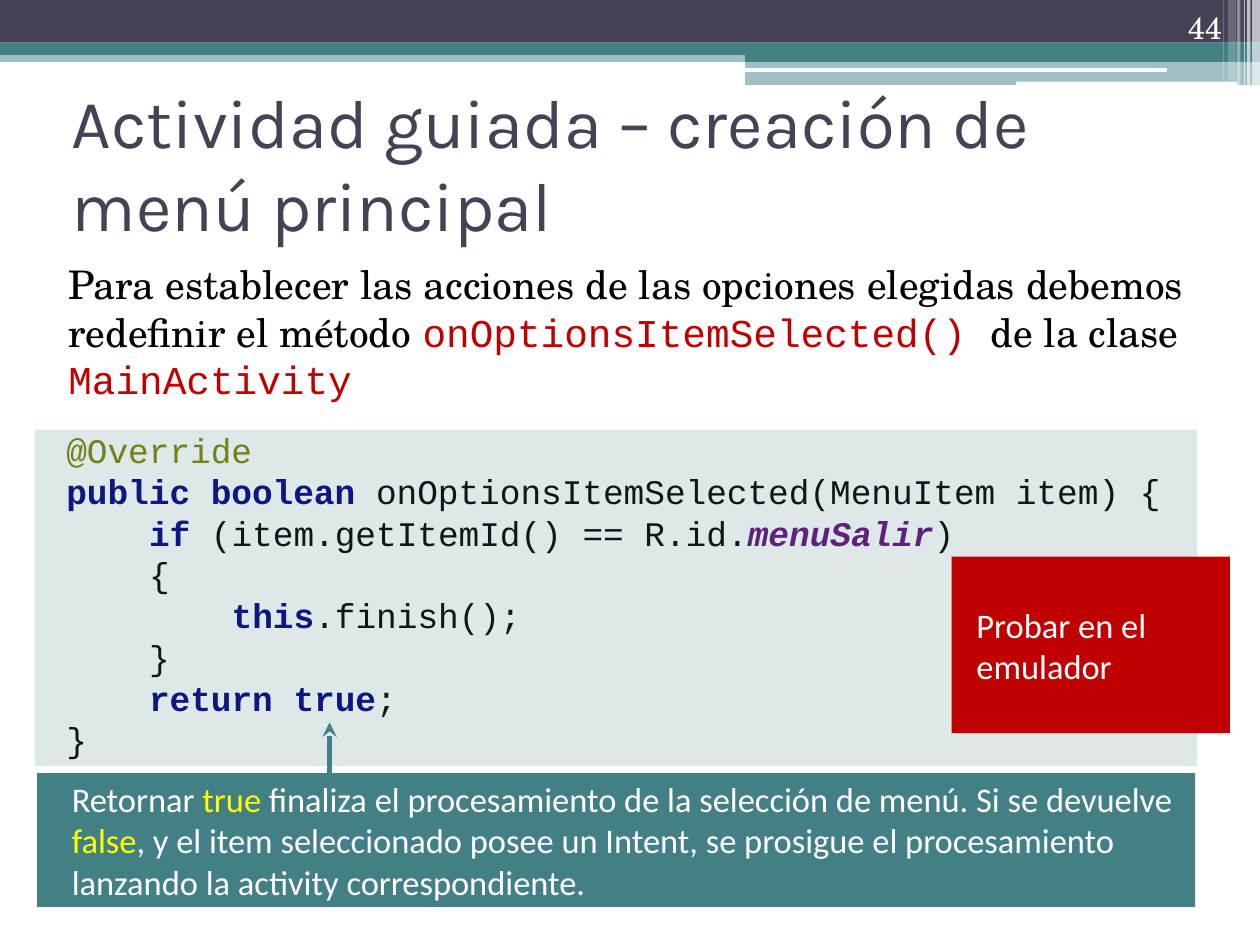
from dataclasses import dataclass

from lxml.etree import SubElement
from pptx import Presentation
from pptx.dml.color import RGBColor
from pptx.enum.shapes import MSO_CONNECTOR, MSO_SHAPE
from pptx.enum.text import MSO_ANCHOR, MSO_AUTO_SIZE, PP_ALIGN
from pptx.oxml.ns import qn
from pptx.util import Inches, Pt


@dataclass(frozen=True)
class Theme:
    """Colours, fonts and type sizes of the slide."""
    navy: str = "424456"
    teal: str = "438086"
    white: str = "FFFFFF"
    black: str = "000000"
    red: str = "C00000"
    yellow: str = "FFFF00"
    annotation: str = "808000"
    keyword: str = "000080"
    constant: str = "660E7A"
    heading: str = "Karla"
    serif: str = "TeX Gyre Schola"
    mono: str = "Courier New"
    sans: str = "Calibri"
    title_size: int = 56
    intro_size: int = 32
    text_size: int = 28
    number_size: int = 25
    code_pitch: float = 33.6


THEME = Theme()
CODE_INDENT = Pt(4 * 0.6 * THEME.text_size)
CODE_LINES = [
    (0, [("@Override", "annotation")]),
    (0, [("public boolean ", "keyword"),
         ("onOptionsItemSelected(MenuItem item) {", "black")]),
    (1, [("if ", "keyword"), ("(item.getItemId() == R.id.", "black"),
         ("menuSalir", "constant"), (")", "black")]),
    (1, [("{", "black")]),
    (2, [("this", "keyword"), (".finish();", "black")]),
    (1, [("}", "black")]),
    (1, [("return true", "keyword"), (";", "black")]),
    (0, [("}", "black")]),
]


@dataclass(frozen=True)
class Box:
    """A rectangle in EMU."""
    left: int
    top: int
    width: int
    height: int

    def inner(self, left, top, width, height):
        """Return the inner box given in percent of this one."""
        return Box(self.x(left), self.y(top),
                   round(self.width * width / 100), round(self.height * height / 100))

    def x(self, share):
        """Return the horizontal place at a percentage of the width."""
        return round(self.left + self.width * share / 100)

    def y(self, share):
        """Return the vertical place at a percentage of the height."""
        return round(self.top + self.height * share / 100)

    def place(self):
        """Return left, top, width and height."""
        return self.left, self.top, self.width, self.height


def add_block(slide, box, colour, opacity=100, kind=MSO_SHAPE.RECTANGLE):
    """Add a plain filled shape without outline."""
    block = slide.shapes.add_shape(kind, *box.place())
    block.shadow.inherit = False
    block.line.fill.background()
    block.fill.solid()
    block.fill.fore_color.rgb = RGBColor.from_string(colour)
    if opacity < 100:
        tint = block._element.spPr.find(qn("a:solidFill"))[0]
        SubElement(tint, qn("a:alpha")).set("val", str(opacity * 1000))
    return block


def set_frame(frame, anchor, left=0.1, right=0.1):
    """Set wrapping, anchor and side insets, and return the first paragraph."""
    frame.word_wrap = True
    frame.auto_size = MSO_AUTO_SIZE.NONE
    frame.vertical_anchor = anchor
    frame.margin_left, frame.margin_right = Inches(left), Inches(right)
    return frame.paragraphs[0]


def format_text(paragraph, font, size, colour, align=PP_ALIGN.LEFT):
    """Set the look shared by the runs of a paragraph."""
    paragraph.alignment = align
    paragraph.font.name = font
    paragraph.font.size = Pt(size)
    paragraph.font.color.rgb = RGBColor.from_string(colour)


def add_run(paragraph, text, colour):
    """Add a coloured run and return its font."""
    run = paragraph.add_run()
    run.text = text
    run.font.color.rgb = RGBColor.from_string(colour)
    return run.font


def add_header(slide, box, number):
    """Draw the bands, the stripes and the slide number."""
    bands = [
        (0, 58.76, 100, 13.4, THEME.teal, 50),
        (0, 0, 100, 49.48, THEME.navy, 100),
        (0, 49.48, 100, 14.43, THEME.teal, 100),
        (59.14, 57.73, 40.86, 14.43, THEME.teal, 100),
        (59.14, 70.1, 40.86, 28.87, THEME.teal, 50),
    ]
    for *area, colour, opacity in bands:
        add_block(slide, box.inner(*area), colour, opacity)
    for area in [(59.14, 79.38, 33.47, 4.12), (80.66, 94.85, 17.51, 6.19)]:
        add_block(slide, box.inner(*area), THEME.white, kind=MSO_SHAPE.ROUNDED_RECTANGLE)
    stripes = [(99.37, 0.63, 100, 65), (98.95, 0.28, 100, 65), (98.73, 0.07, 100, 60),
               (98.17, 0.28, 100, 40), (97.47, 0.63, 93.81, 20), (97.05, 0.07, 93.81, 30)]
    for left, width, height, opacity in stripes:
        add_block(slide, box.inner(left, 0, width, height), THEME.white, opacity)
    page = slide.shapes.add_textbox(*box.inner(89.38, 0, 8.3, 58.76).place())
    label = set_frame(page.text_frame, MSO_ANCHOR.BOTTOM)
    label.text = number
    format_text(label, THEME.serif, THEME.number_size, THEME.white, PP_ALIGN.RIGHT)


def add_title(slide, box):
    """Place and format the title."""
    title = slide.shapes.title
    title.left, title.top, title.width, title.height = box.place()
    heading = set_frame(title.text_frame, MSO_ANCHOR.MIDDLE)
    heading.text = "Actividad guiada – creación de menú principal"
    format_text(heading, THEME.heading, THEME.title_size, THEME.navy)


def add_intro(slide, box):
    """Write the introduction with its method and class names."""
    intro = slide.shapes.add_textbox(*box.place())
    sentence = set_frame(intro.text_frame, MSO_ANCHOR.TOP, left=0.27)
    sentence.space_before = Pt(4.2)
    format_text(sentence, THEME.serif, THEME.intro_size, THEME.black)
    for text, font, colour in [
        ("Para establecer las acciones de las opciones elegidas debemos redefinir el método ",
         THEME.serif, THEME.black),
        ("onOptionsItemSelected() ", THEME.mono, THEME.red),
        ("de la clase ", THEME.serif, THEME.black),
        ("MainActivity", THEME.mono, THEME.red),
    ]:
        add_run(sentence, text, colour).name = font


def add_code(slide, box):
    """Write the listing and lay the tinted panel over it."""
    listing = add_block(slide, box, THEME.white).text_frame
    set_frame(listing, MSO_ANCHOR.MIDDLE)
    for index, (depth, tokens) in enumerate(CODE_LINES):
        line = listing.add_paragraph() if index else listing.paragraphs[0]
        format_text(line, THEME.mono, THEME.text_size, THEME.black)
        line.line_spacing = Pt(THEME.code_pitch)
        line._p.get_or_add_pPr().set("marL", str(depth * CODE_INDENT))
        for text, role in tokens:
            font = add_run(line, text, getattr(THEME, role))
            font.bold = role in ("keyword", "constant")
            font.italic = role == "constant"
    add_block(slide, box.inner(-1.96, 2.07, 99.02, 97.93), THEME.teal, 18)


def add_return_note(slide, box):
    """Explain the returned value, with an arrow up to the code."""
    pointer = slide.shapes.add_connector(
        MSO_CONNECTOR.STRAIGHT, box.x(25.25), box.y(5.3), box.x(25.25), box.y(-37.75))
    pointer.line.color.rgb = RGBColor.from_string(THEME.teal)
    pointer.line.width = Pt(4)
    outline = pointer._element.spPr.find(qn("a:ln"))
    SubElement(outline, qn("a:tailEnd")).set("type", "stealth")
    SubElement(pointer._element.spPr, qn("a:effectLst"))
    note = add_block(slide, box, THEME.teal)
    sentence = set_frame(note.text_frame, MSO_ANCHOR.MIDDLE, left=0.39, right=0.2)
    format_text(sentence, THEME.sans, THEME.text_size, THEME.white)
    for text, colour in [
        ("Retornar ", THEME.white),
        ("true ", THEME.yellow),
        ("finaliza el procesamiento de la selección de menú. Si se devuelve ", THEME.white),
        ("false", THEME.yellow),
        (", y el item seleccionado posee un Intent, se prosigue el procesamiento "
         "lanzando la activity correspondiente.", THEME.white),
    ]:
        add_run(sentence, text, colour)


def add_task(slide, box):
    """Add the red reminder to try the program."""
    task = add_block(slide, box, THEME.red)
    reminder = set_frame(task.text_frame, MSO_ANCHOR.MIDDLE, left=0.28, right=0.28)
    reminder.text = "Probar en el emulador"
    format_text(reminder, THEME.sans, THEME.text_size, THEME.white)


def main():
    """Build and save the slide."""
    deck = Presentation()
    deck.slide_width, deck.slide_height = Inches(14.22), Inches(10.66)
    page = Box(0, 0, deck.slide_width, deck.slide_height)
    slide = deck.slides.add_slide(deck.slide_layouts[5])
    add_header(slide, page.inner(0, 0, 100, 9.1), "44")
    add_title(slide, page.inner(4.99, 9.38, 90.01, 15.57))
    add_code(slide, page.inner(4.57, 44.75, 93.18, 36.3))
    add_intro(slide, page.inner(3.52, 27.11, 93.04, 21.39))
    add_return_note(slide, page.inner(2.95, 81.8, 91.91, 14.17))
    add_task(slide, page.inner(75.53, 58.91, 22.08, 18.67))
    deck.save("out.pptx")


if __name__ == "__main__":
    main()
